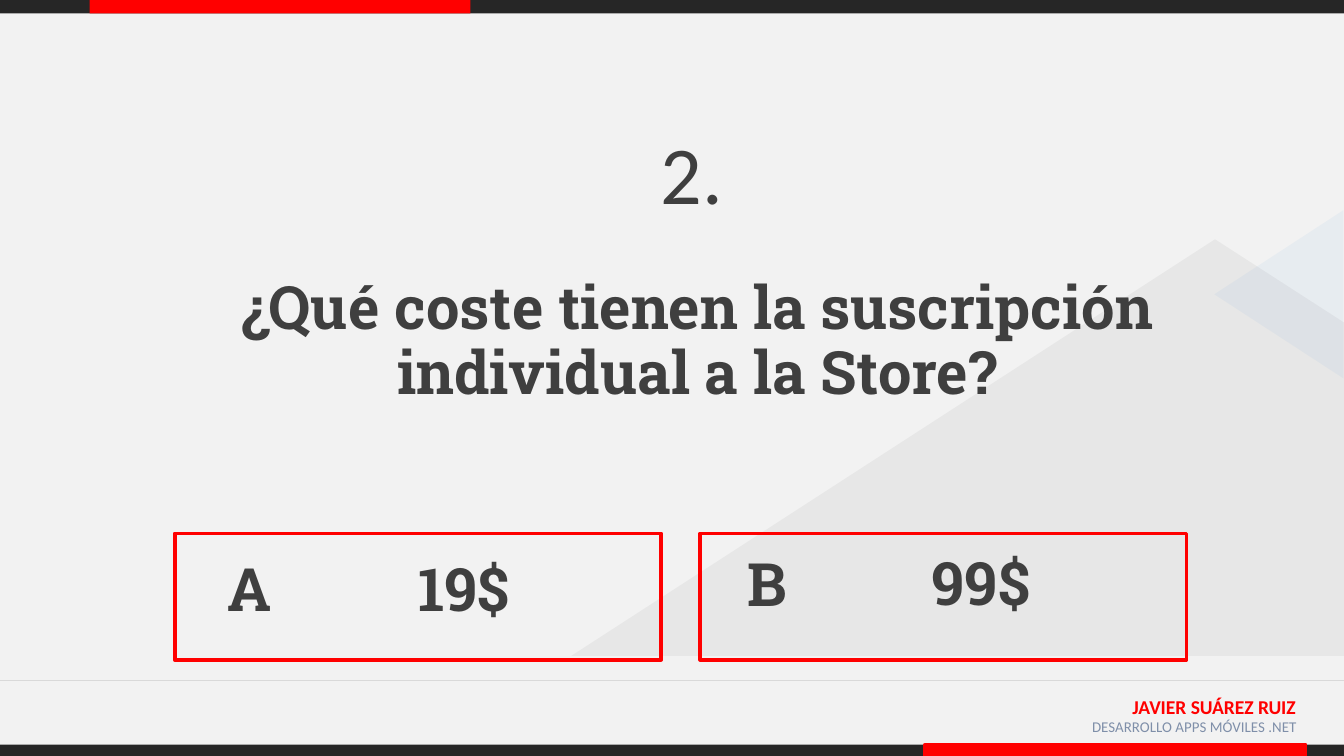
from dataclasses import dataclass

from lxml import etree
from pptx import Presentation
from pptx.dml.color import RGBColor
from pptx.enum.shapes import MSO_CONNECTOR, MSO_SHAPE
from pptx.enum.text import MSO_ANCHOR, PP_ALIGN
from pptx.oxml.ns import qn
from pptx.util import Pt

RECTANGLE = MSO_SHAPE.RECTANGLE
TRIANGLE = MSO_SHAPE.ISOSCELES_TRIANGLE
STRAIGHT = MSO_CONNECTOR.STRAIGHT
CENTER, RIGHT = PP_ALIGN.CENTER, PP_ALIGN.RIGHT
TOP, MIDDLE = MSO_ANCHOR.TOP, MSO_ANCHOR.MIDDLE


@dataclass(frozen=True)
class Theme:
    background: str = "F2F2F2"
    dark: str = "262626"
    accent: str = "FF0000"
    blue: str = "297FD5"
    rule: str = "D9D9D9"
    text: str = "3F3F3F"
    muted: str = "7F8FA9"
    heading_font: str = "Roboto Slab"
    body_font: str = "Calibri"
    number_size: float = 44
    heading_size: float = 32
    author_size: float = 10.5
    course_size: float = 8


def color(value):
    return RGBColor.from_string(value)


def write_text(frame, text, *, font, size, fill, bold=False, align=CENTER,
               anchor=TOP, line_spacing=None):
    frame.word_wrap = True
    frame.vertical_anchor = anchor
    paragraph = frame.paragraphs[0]
    paragraph.alignment = align
    paragraph.line_spacing = line_spacing
    run = paragraph.add_run()
    run.text = text
    run.font.name = font
    run.font.size = Pt(size)
    run.font.bold = bold
    run.font.color.rgb = color(fill)


class SlideBuilder:
    def __init__(self, slide, theme):
        self.slide = slide
        self.theme = theme
        slide.background.fill.solid()
        slide.background.fill.fore_color.rgb = color(theme.background)

    def paint(self, shape, fill=None, line=None, opacity=None):
        shape.shadow.inherit = False
        if fill:
            shape.fill.solid()
            shape.fill.fore_color.rgb = color(fill)
        else:
            shape.fill.background()
        if line:
            shape.line.color.rgb = color(line)
            shape.line.width = Pt(2)
        else:
            shape.line.fill.background()
        if opacity:
            tint = shape._element.spPr.find(qn("a:solidFill"))[0]
            etree.SubElement(tint, qn("a:alpha"), val=str(opacity * 1000))

    def shape(self, kind, left, top, width, height, rotation=0, **paint):
        shape = self.slide.shapes.add_shape(
            kind, Pt(left), Pt(top), Pt(width), Pt(height))
        shape.rotation = rotation
        self.paint(shape, **paint)

    def polygon(self, points, **paint):
        corners = [(Pt(x), Pt(y)) for x, y in points]
        builder = self.slide.shapes.build_freeform(*corners[0])
        builder.add_line_segments(corners[1:], close=True)
        self.paint(builder.convert_to_shape(), **paint)

    def line(self, start, end, fill, width):
        connector = self.slide.shapes.add_connector(
            STRAIGHT, *(Pt(value) for value in (*start, *end)))
        connector.line.color.rgb = color(fill)
        connector.line.width = Pt(width)
        etree.SubElement(connector._element.spPr, qn("a:effectLst"))

    def text(self, text, left, top, width, height, **style):
        box = self.slide.shapes.add_textbox(
            Pt(left), Pt(top), Pt(width), Pt(height))
        write_text(box.text_frame, text, **style)

    def heading(self, text, left, top, width, height):
        theme = self.theme
        self.text(text, left, top, width, height, font=theme.heading_font,
                  size=theme.heading_size, fill=theme.text, bold=True,
                  line_spacing=0.9)


def main():
    theme = Theme()
    presentation = Presentation()
    presentation.slide_width = Pt(720)
    presentation.slide_height = Pt(405)
    slide = presentation.slides.add_slide(presentation.slide_layouts[6])
    builder = SlideBuilder(slide, theme)

    # Top band
    builder.shape(RECTANGLE, 0, 0, 720, 7.2, fill=theme.dark)
    builder.shape(RECTANGLE, 48, 0, 204, 7.2, fill=theme.accent)

    # Footer
    builder.text("JAVIER SUÁREZ RUIZ", 571, 368.6, 130.3, 22.3,
                 font=theme.body_font, size=theme.author_size,
                 fill=theme.accent, bold=True, align=RIGHT)
    builder.text("DESARROLLO APPS MÓVILES .NET", 555.8, 380.9, 146, 22.3,
                 font=theme.body_font, size=theme.course_size,
                 fill=theme.muted, align=RIGHT)
    builder.shape(RECTANGLE, 0, 399, 720, 6, fill=theme.dark)
    builder.shape(RECTANGLE, 495.4, 399, 204, 6,
                  fill=theme.accent, line=theme.accent)
    builder.line((0, 364.5), (720, 364.5), theme.rule, 0.75)

    # Translucent background peaks
    builder.polygon([(306, 351.4), (650.9, 128.2), (720, 172.8), (720, 351.4)],
                    fill=theme.dark, opacity=5)
    builder.shape(TRIANGLE, 640.1, 123.1, 90, 69.1, rotation=270,
                  fill=theme.blue, opacity=5)

    # Question
    builder.heading("¿Qué coste tienen la suscripción individual a la Store?",
                    64.8, 145.4, 617.8, 85)
    builder.text("2.", 46.8, 58.3, 648, 67.7, font=theme.body_font,
                 size=theme.number_size, fill=theme.text, anchor=MIDDLE)

    # Answer frames
    for left in (93.6, 375.1):
        builder.shape(RECTANGLE, left, 285.8, 260.6, 67.7, line=theme.accent)

    # Answer letters and prices
    for text, left, top, width in (
        ("A", 105.1, 296.6, 57.6),
        ("B", 382.3, 293.8, 57.6),
        ("19$", 154.8, 296.6, 187.9),
        ("99$", 424.8, 293, 201.6),
    ):
        builder.heading(text, left, top, width, 46.1)

    presentation.save("out.pptx")


if __name__ == "__main__":
    main()
